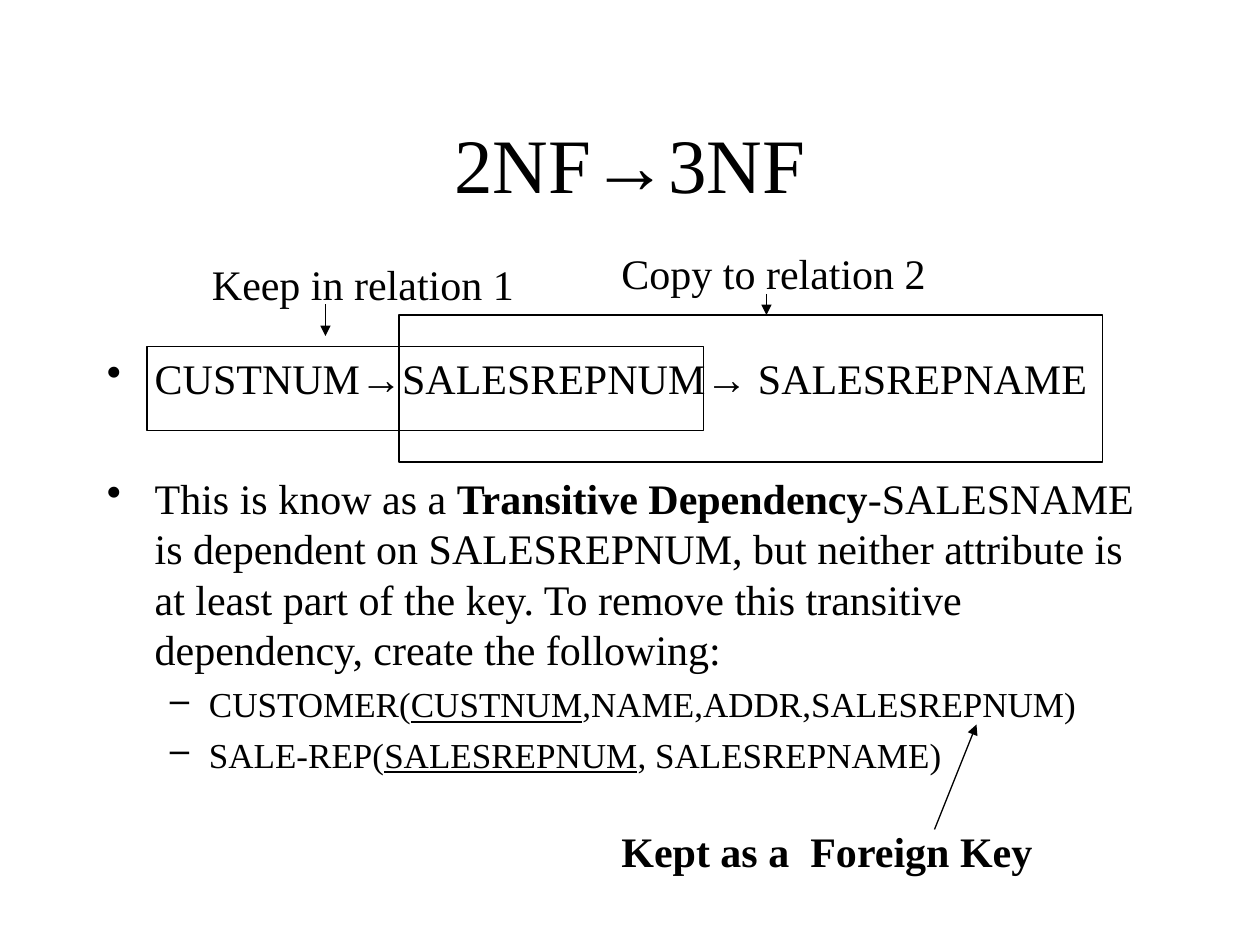
from lxml import etree
from pptx import Presentation
from pptx.dml.color import RGBColor
from pptx.enum.shapes import MSO_CONNECTOR, MSO_SHAPE
from pptx.enum.text import MSO_ANCHOR, PP_ALIGN
from pptx.oxml.ns import qn
from pptx.util import Inches, Pt

LINE, RECT = MSO_CONNECTOR.STRAIGHT, MSO_SHAPE.RECTANGLE
MID, TOP = MSO_ANCHOR.MIDDLE, MSO_ANCHOR.TOP
LEFT, CENTER = PP_ALIGN.LEFT, PP_ALIGN.CENTER
INK = "000000"
SERIF, SANS = "Times New Roman", "Arial"
WIDE, HIGH = 10, 7.5
COLS = 120
ARROW = ("→", "arrow")

# Places are columns and rows of a grid of 120 by 90 square cells.
TITLE = ((9, 8, 102, 15), [("2NF", ""), ARROW, ("3NF", "")])
BODY_AT = (9, 33, 102, 47)
BODY = [
    (0, 0, [("CUSTNUM", ""), ARROW, ("SALESREPNUM", ""), ARROW,
            (" SALESREPNAME", "")]),
    (0, 39.6, [("This is know as a ", ""), ("Transitive Dependency", "bold"),
               ("-SALESNAME is dependent on SALESREPNUM, but neither "
                "attribute is at least part of the key. To remove this "
                "transitive dependency, create the following:", "")]),
    (1, 5, [("CUSTOMER(", ""), ("CUSTNUM", "under"),
            (",NAME,ADDR,SALESREPNUM)", "")]),
    (1, 5, [("SALE-REP(", ""), ("SALESREPNUM", "under"),
            (", SALESREPNAME)", "")]),
]
LEVELS = [("•", 24, 0.38, 0.38), ("–", 20, 0.81, 0.31)]
FRAMES = [(14, 33, 53, 8), (38, 30, 67, 14)]
LABELS = [
    ((19, 24, 34, 6), "Keep in relation 1", ""),
    ((58, 23, 43, 6), "Copy to relation 2", ""),
    ((58, 78, 51, 6), "Kept as a  Foreign Key", "bold"),
]
ARROWS = [(31, 29, 31, 32), (73, 28, 73, 30), (89, 79, 93, 69)]


def rgb(code):
    """Turn a hex string into a colour."""
    return RGBColor.from_string(code)


def grid(cells):
    """Turn grid cells into lengths."""
    return [Inches(WIDE * cell / COLS) for cell in cells]


def add_box(slide, at, anchor=TOP):
    """Add a wrapping text box and return its frame."""
    frame = slide.shapes.add_textbox(*grid(at)).text_frame
    frame.word_wrap = True
    frame.vertical_anchor = anchor
    return frame


def fill_para(para, runs, size, align=LEFT):
    """Write styled runs into a paragraph."""
    para.alignment = align
    para.font.size = Pt(size)
    para.font.name = SERIF
    para.font.color.rgb = rgb(INK)
    for text, style in runs:
        run = para.add_run()
        run.text = text
        if style == "arrow":
            run.font.name = SANS
        elif style == "bold":
            run.font.bold = True
        elif style == "under":
            run.font.underline = True


def add_bullet(para, mark, left, hang):
    """Give a paragraph a hanging bullet."""
    props = para._p.get_or_add_pPr()
    props.set("marL", str(Inches(left)))
    props.set("indent", str(-Inches(hang)))
    etree.SubElement(props, qn("a:buChar")).set("char", mark)


def add_body(slide):
    """Add the bulleted text."""
    frame = add_box(slide, BODY_AT)
    for i, (level, gap, runs) in enumerate(BODY):
        para = frame.add_paragraph() if i else frame.paragraphs[0]
        mark, size, left, hang = LEVELS[level]
        para.level = level
        para.space_before = Pt(gap)
        add_bullet(para, mark, left, hang)
        fill_para(para, runs, size)


def add_frame(slide, at):
    """Add an unfilled outline rectangle."""
    shape = slide.shapes.add_shape(RECT, *grid(at))
    shape.shadow.inherit = False
    shape.fill.background()
    shape.line.color.rgb = rgb(INK)
    shape.line.width = Pt(0.75)


def add_arrow(slide, ends):
    """Add a thin line with a triangle at its end."""
    link = slide.shapes.add_connector(LINE, *grid(ends))
    link.line.color.rgb = rgb(INK)
    link.line.width = Pt(0.75)
    props = link._element.spPr
    etree.SubElement(props.find(qn("a:ln")), qn("a:tailEnd")).set("type", "triangle")
    etree.SubElement(props, qn("a:effectLst"))


def main():
    """Build the slide and save it."""
    deck = Presentation()
    deck.slide_width, deck.slide_height = Inches(WIDE), Inches(HIGH)
    slide = deck.slides.add_slide(deck.slide_layouts[6])
    at, runs = TITLE
    fill_para(add_box(slide, at, MID).paragraphs[0], runs, 44, CENTER)
    add_body(slide)
    for at in FRAMES:
        add_frame(slide, at)
    for at, text, style in LABELS:
        fill_para(add_box(slide, at).paragraphs[0], [(text, style)], 24)
    for ends in ARROWS:
        add_arrow(slide, ends)
    deck.save("out.pptx")


if __name__ == "__main__":
    main()
